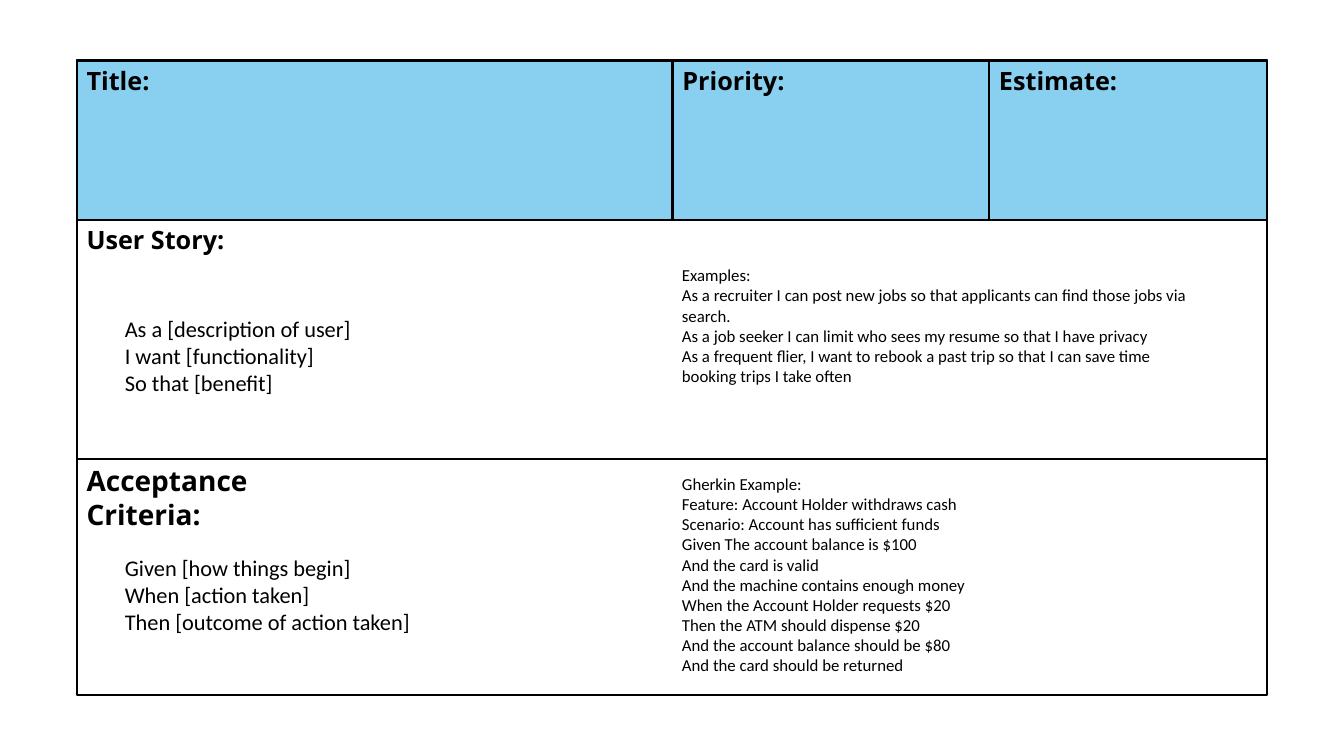
from collections import namedtuple

from lxml.etree import SubElement
from pptx import Presentation
from pptx.dml.color import RGBColor
from pptx.enum.shapes import MSO_CONNECTOR as Connector, MSO_SHAPE as Shape
from pptx.enum.text import MSO_AUTO_SIZE as AutoSize
from pptx.oxml.ns import qn
from pptx.util import Inches, Pt

COLORS = {"ink": "000000", "card": "FFFFFF", "header": "89CFF0"}
HEADING_FONT, BODY_FONT = "Open Sans", "Calibri"
LINE_WIDTH = Pt(1.5)
INDENT = 0.38  # template text, from the card's left edge

Box = namedtuple("Box", "left top width height")


def color(name):
    return RGBColor.from_string(COLORS[name])


def add_panel(page, box, fill):
    panel = page.shapes.add_shape(Shape.RECTANGLE, *map(Inches, box))
    panel.shadow.inherit = False
    panel.fill.solid()
    panel.fill.fore_color.rgb = color(fill)
    panel.line.color.rgb = color("ink")
    panel.line.width = LINE_WIDTH


def add_rule(page, x1, y1, x2, y2):
    rule = page.shapes.add_connector(Connector.STRAIGHT, *map(Inches, (x1, y1, x2, y2)))
    rule.line.color.rgb = color("ink")
    rule.line.width = LINE_WIDTH
    SubElement(rule._element.spPr, qn("a:effectLst"))


def add_text(page, box, lines, size, font=BODY_FONT, bold=False):
    frame = page.shapes.add_textbox(*map(Inches, box)).text_frame
    frame.word_wrap = True
    frame.auto_size = AutoSize.SHAPE_TO_FIT_TEXT
    for index, line in enumerate(lines):
        para = frame.add_paragraph() if index else frame.paragraphs[0]
        span = para.add_run()
        span.text = line
        span.font.name = font
        span.font.size = Pt(size)
        span.font.bold = bold
        span.font.color.rgb = color("ink")


def add_heading(page, box, text, size=18):
    add_text(page, box, [text], size, HEADING_FONT, bold=True)


def add_header(page, box, fields):
    """Blue band split into labelled fields; each field is (offset, width, label)."""
    add_panel(page, box, "header")
    for offset, width, label in fields:
        x = box.left + offset
        if offset:
            add_rule(page, x, box.top, x, box.top + box.height)
        add_heading(page, Box(x, box.top, width, 0.4), label)


def add_section(page, box, heading, template, example):
    """Heading and template lines on the left, worked example on the right."""
    text, size, width = heading
    add_heading(page, Box(box.left, box.top, width, 0.4), text, size)
    add_text(page, Box(box.left + INDENT, box.top + 0.9, 11.06, 0.91), template, 16)
    lines, offset, width, height = example
    add_text(page, Box(box.left + box.width / 2, box.top + offset, width, height), lines, 12)


deck = Presentation()
deck.slide_width, deck.slide_height = Inches(13.33), Inches(7.5)
page = deck.slides.add_slide(deck.slide_layouts[6])

# Card and its three bands
card = Box(0.76, 0.6, 11.81, 6.3)
header = card._replace(height=1.58)
story = card._replace(top=header.top + header.height, height=2.37)
criteria = card._replace(top=story.top + story.height, height=2.35)
add_panel(page, card, "card")

# Header fields
add_header(page, header, [
    (0, 1.21, "Title:"),
    (5.91, 1.28, "Priority:"),
    (9.05, 1.47, "Estimate:"),
])

# User story
add_section(
    page, story, ("User Story:", 18, 1.65),
    ["As a [description of user]", "I want [functionality]", "So that [benefit]"],
    ([
        "Examples:",
        "As a recruiter I can post new jobs so that applicants can find those jobs via search.",
        "As a job seeker I can limit who sees my resume so that I have privacy",
        "As a frequent flier, I want to rebook a past trip so that I can save time "
        "booking trips I take often",
    ], 0.4, 5.35, 1.31),
)

# Acceptance criteria
add_rule(page, criteria.left, criteria.top, criteria.left + criteria.width, criteria.top)
add_section(
    page, criteria, ("Acceptance Criteria:", 20, 2.98),
    ["Given [how things begin]", "When [action taken]", "Then [outcome of action taken]"],
    ([
        "Gherkin Example:",
        "Feature: Account Holder withdraws cash",
        "Scenario: Account has sufficient funds",
        "Given The account balance is $100",
        "And the card is valid",
        "And the machine contains enough money",
        "When the Account Holder requests $20",
        "Then the ATM should dispense $20",
        "And the account balance should be $80",
        "And the card should be returned",
    ], 0.1, 5.59, 2.12),
)

deck.save("out.pptx")
